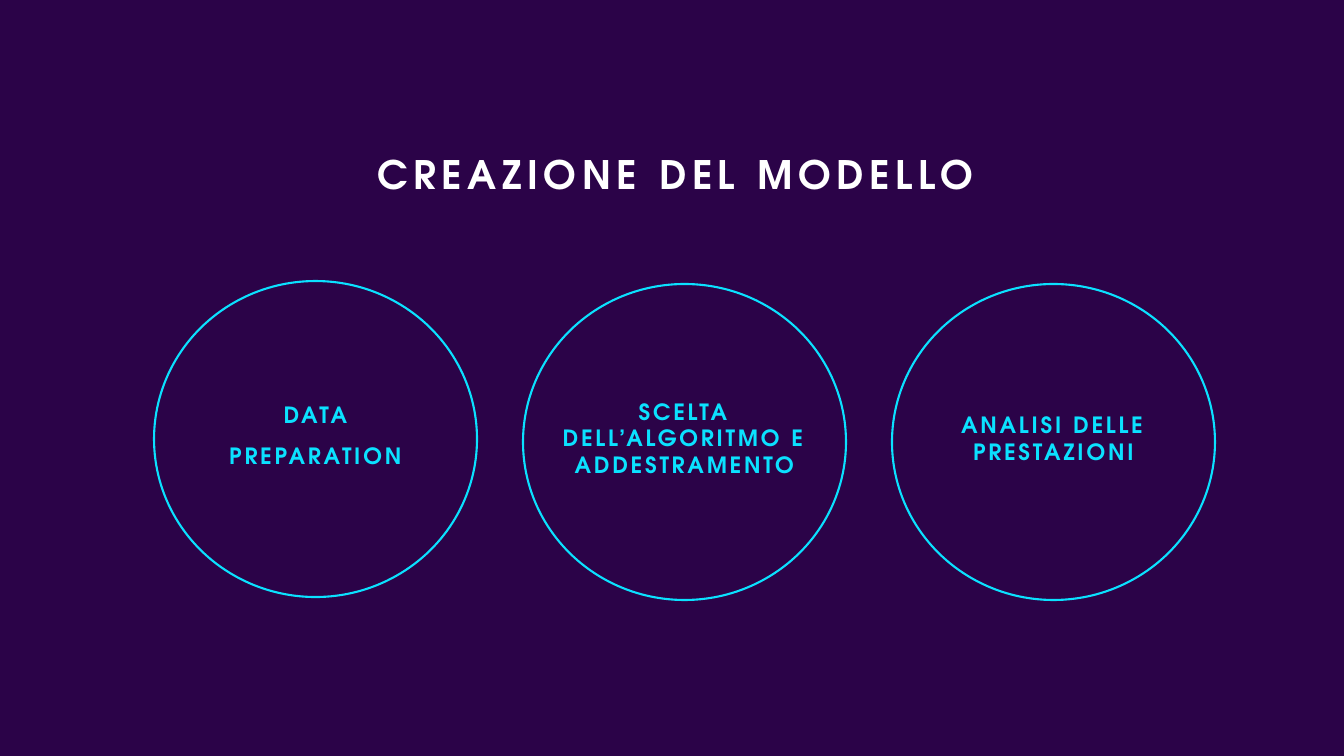
from pptx import Presentation
from pptx.dml.color import RGBColor
from pptx.enum.shapes import MSO_SHAPE as Shape
from pptx.enum.text import MSO_ANCHOR as Anchor, PP_ALIGN as Align
from pptx.util import Emu, Pt

PURPLE = RGBColor(0x2B, 0x03, 0x48)
CYAN = RGBColor(0x0B, 0xE1, 0xFF)
WHITE = RGBColor(0xFF, 0xFF, 0xFF)
SLIDE_WIDTH, SLIDE_HEIGHT = 1344, 756
CIRCLE_WIDTH, CIRCLE_HEIGHT = 323, 316
FIRST_LEFT, PITCH = 154, 369
LABEL_OFFSET, LABEL_HEIGHT = 96, 116


def px(length):
    return Emu(round(length * 12192000 / SLIDE_WIDTH))


class SlideBuilder:
    font_name = "TeX Gyre Adventor"

    def __init__(self, slide):
        self.slide = slide
        background = slide.background.fill
        background.solid()
        background.fore_color.rgb = PURPLE

    def circle(self, left, top):
        circle = self.slide.shapes.add_shape(
            Shape.OVAL, px(left), px(top), px(CIRCLE_WIDTH), px(CIRCLE_HEIGHT))
        circle.shadow.inherit = False
        circle.fill.background()
        circle.line.color.rgb = CYAN
        circle.line.width = Pt(1.5)

    def text(self, left, top, width, height, lines, size, color, tracking,
             anchor=Anchor.MIDDLE, line_spacing=1.0):
        box = self.slide.shapes.add_textbox(px(left), px(top), px(width), px(height))
        frame = box.text_frame
        frame.word_wrap = True
        frame.vertical_anchor = anchor
        for index, line in enumerate(lines):
            paragraph = frame.add_paragraph() if index else frame.paragraphs[0]
            paragraph.alignment = Align.CENTER
            paragraph.line_spacing = line_spacing
            if index:
                paragraph.space_before = Pt(10)
            run = paragraph.add_run()
            run.text = line
            run.font.name = self.font_name
            run.font.size = Pt(size)
            run.font.bold = True
            run.font.color.rgb = color
            run.font._element.set("spc", str(tracking * 100))


def main():
    presentation = Presentation()
    presentation.slide_width = px(SLIDE_WIDTH)
    presentation.slide_height = px(SLIDE_HEIGHT)
    builder = SlideBuilder(presentation.slides.add_slide(presentation.slide_layouts[6]))

    builder.text(319, 128, 713, 75, ["CREAZIONE DEL MODELLO"], 28, WHITE, 4,
                 Anchor.BOTTOM, 0.9)

    phases = [
        (281, 213, ["DATA", "PREPARATION"]),
        (284, 289, ["SCELTA DELL’ALGORITMO E ADDESTRAMENTO"]),
        (284, 213, ["ANALISI DELLE PRESTAZIONI"]),
    ]
    for index, (top, label_width, label) in enumerate(phases):
        left = FIRST_LEFT + index * PITCH
        builder.circle(left, top)
        builder.text(left + (CIRCLE_WIDTH - label_width) // 2, top + LABEL_OFFSET,
                     label_width, LABEL_HEIGHT, label, 16, CYAN, 2)

    presentation.save("out.pptx")


if __name__ == "__main__":
    main()
